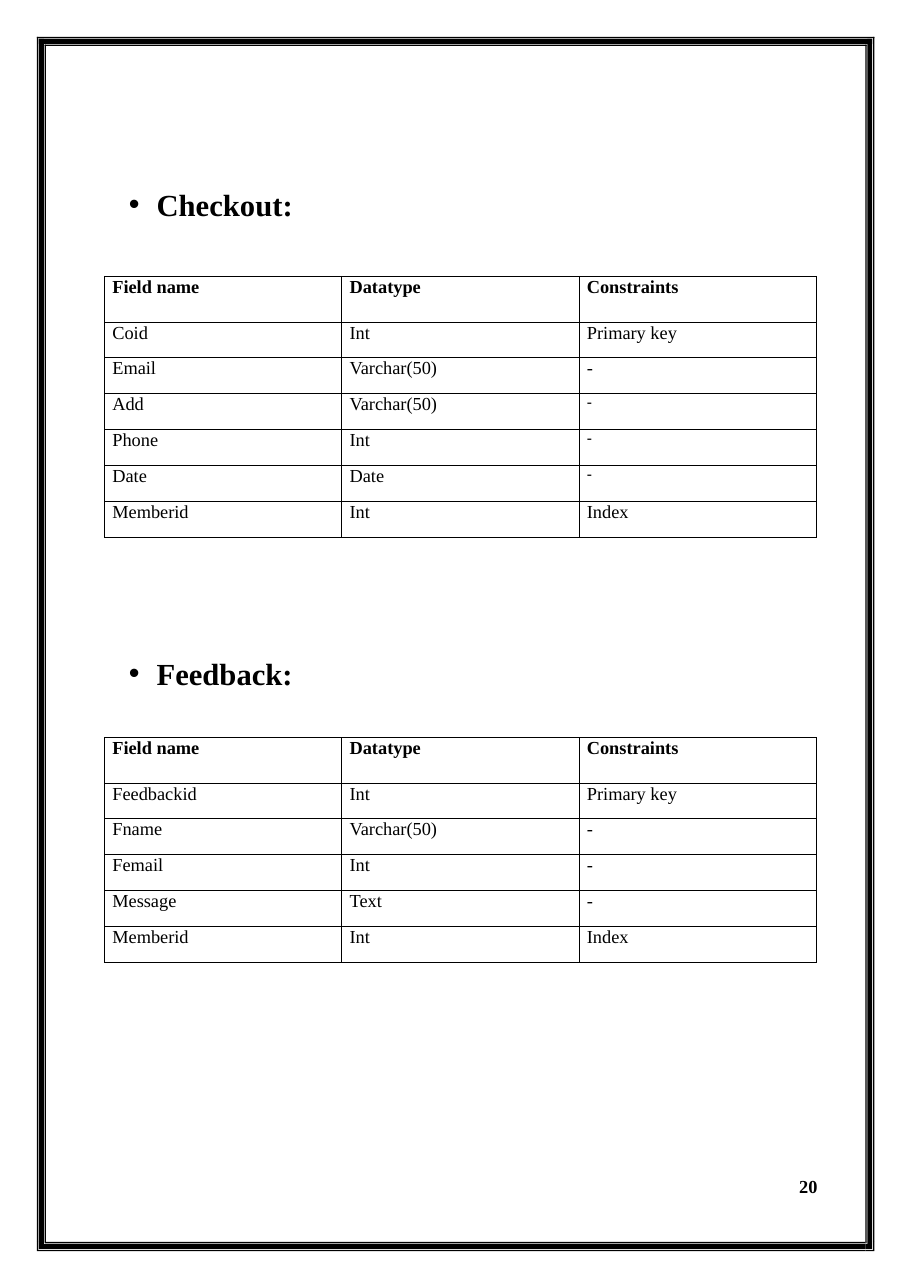
from dataclasses import dataclass

from lxml.etree import SubElement as Sub
from pptx import Presentation as Deck
from pptx.dml.color import RGBColor as Rgb
from pptx.enum.text import MSO_ANCHOR as Anchor, MSO_AUTO_SIZE as Fit, PP_ALIGN as Align
from pptx.oxml.ns import qn
from pptx.util import Cm, Pt

HUES = {"ink": "000000", "page": "FFFFFF"}
SERIF, SANS = "Times New Roman", "Calibri"
WIDE, HIGH = 20.98, 29.69
LEFT, TOP, RIGHT, BASE = 0.85, 0.85, 20.16, 28.84  # outer edges of the border
DEEP = 0.21  # whole depth of the border

Dot = tuple[float, float]


@dataclass
class Band:
    near: float  # distances from the outer edge
    far: float


@dataclass
class Part:
    name: str
    head_top: float
    grid_top: float
    rows: list[tuple[str, str, str]]
    small: tuple[int, ...] = ()  # rows whose last cell is in the sans font


BANDS = [Band(0, 0.03), Band(0.05, 0.16), Band(0.18, DEEP)]
HEADS = ("Field name", "Datatype", "Constraints")
PARTS = [
    Part("Checkout:", 4.26, 6.37, [
        ("Coid", "Int", "Primary key"),
        ("Email", "Varchar(50)", "-"),
        ("Add", "Varchar(50)", "-"),
        ("Phone", "Int", "-"),
        ("Date", "Date", "-"),
        ("Memberid", "Int", "Index"),
    ], (3, 4, 5)),
    Part("Feedback:", 15.06, 17, [
        ("Feedbackid", "Int", "Primary key"),
        ("Fname", "Varchar(50)", "-"),
        ("Femail", "Int", "-"),
        ("Message", "Text", "-"),
        ("Memberid", "Int", "Index"),
    ]),
]


def write(frame, text: str, *, size: float = 12, font: str = SERIF, bold: bool = False,
          align=Align.LEFT, line: float | None = None, space: float = 0):
    """Fill a text frame with one formatted paragraph."""
    para = frame.paragraphs[0]
    para.alignment = align
    para.space_before = Pt(space)
    if line:
        para.line_spacing = Pt(line)
    run = para.add_run()
    run.text = text
    run.font.size, run.font.name, run.font.bold = Pt(size), font, bold
    run.font.color.rgb = Rgb.from_string(HUES["ink"])
    return para


def trim(frame) -> None:
    """Give a text frame wrapping, no margins and a top anchor."""
    frame.word_wrap, frame.auto_size = True, Fit.NONE
    frame.vertical_anchor = Anchor.TOP
    frame.margin_left = frame.margin_right = frame.margin_top = frame.margin_bottom = 0


def block(x: float, y: float, far: float, low: float) -> list[Dot]:
    """Corners of a box."""
    return [(x, y), (far, y), (far, low), (x, low)]


def elbow(edge: float, turn: int, end: float, band: Band) -> list[Dot]:
    """Corners of an L that drops at an edge and runs along the base to an end."""
    out, side = edge + turn * band.near, edge + turn * band.far
    low, high = BASE - band.near, BASE - band.far
    return [(out, BASE - DEEP), (side, BASE - DEEP), (side, high),
            (end, high), (end, low), (out, low)]


def add_side(slide, lines: list[list[Dot]]) -> None:
    """Draw one side of the border from its closed outlines."""
    pen = None
    for line in lines:
        first, *rest = [(Cm(x), Cm(y)) for x, y in line]
        if pen is None:
            pen = slide.shapes.build_freeform(*first)
        else:
            pen.move_to(*first)
        pen.add_line_segments(rest, close=True)
    shape = pen.convert_to_shape()
    shape.shadow.inherit = False
    shape.fill.solid()
    shape.fill.fore_color.rgb = Rgb.from_string(HUES["ink"])
    shape.line.fill.background()


def add_frame(slide) -> None:
    """Draw the triple border: left, right, top, base and last corner."""
    end, low = RIGHT - DEEP, BASE - DEEP
    add_side(slide, [block(LEFT + b.near, TOP + b.near, LEFT + b.far, low) for b in BANDS])
    add_side(slide, [block(RIGHT - b.far, TOP + b.near, RIGHT - b.near, low) for b in BANDS])
    add_side(slide, [block(LEFT + b.near, TOP + b.near, RIGHT - b.near, TOP + b.far)
                     for b in BANDS])
    add_side(slide, [elbow(LEFT, 1, end, b) for b in BANDS])
    add_side(slide, [elbow(RIGHT, -1, end, b) for b in BANDS])


def add_head(holder, part: Part) -> None:
    """Turn a placeholder into a bulleted heading."""
    holder.left, holder.top = Cm(2.95), Cm(part.head_top)
    holder.width, holder.height = Cm(3.9), Cm(0.92)
    trim(holder.text_frame)
    holder.text_frame.margin_top = Cm(0.03)
    para = write(holder.text_frame, part.name, size=20, bold=True, space=1)
    props = para._p.get_or_add_pPr()
    props.set("marL", str(Cm(0.66)))
    props.set("indent", str(-Cm(0.64)))
    Sub(props, qn("a:buFont"), typeface="Arial")
    Sub(props, qn("a:buChar"), char="•")


def add_edge(cell) -> None:
    """Rule all four sides of a cell."""
    props = cell._tc.get_or_add_tcPr()
    for side in "LRTB":
        edge = Sub(props, qn(f"a:ln{side}"), w=str(Pt(0.5)))
        Sub(Sub(edge, qn("a:solidFill")), qn("a:srgbClr"), val=HUES["ink"])


def add_grid(slide, part: Part) -> None:
    """Draw the table of fields."""
    rows = [HEADS, *part.rows]
    highs = [1.06, 0.8] + [0.83] * (len(rows) - 2)
    table = slide.shapes.add_table(len(rows), len(HEADS), Cm(2.41), Cm(part.grid_top),
                                   Cm(16.41), Cm(sum(highs))).table
    table.first_row = table.horz_banding = False
    for col in table.columns:
        col.width = Cm(5.47)
    for r, (row, high) in enumerate(zip(rows, highs)):
        table.rows[r].height = Cm(high)
        for c, text in enumerate(row):
            cell = table.cell(r, c)
            cell.margin_left = Cm(0.18)
            cell.margin_right = cell.margin_top = cell.margin_bottom = 0
            add_edge(cell)
            cell.fill.background()
            if c == 2 and r in part.small:
                write(cell.text_frame, text, size=11, font=SANS, line=12.9)
            else:
                write(cell.text_frame, text, bold=r == 0, line=13.8)


def main() -> None:
    deck = Deck()
    deck.slide_width, deck.slide_height = Cm(WIDE), Cm(HIGH)
    slide = deck.slides.add_slide(deck.slide_layouts[1])
    slide.background.fill.solid()
    slide.background.fill.fore_color.rgb = Rgb.from_string(HUES["page"])

    # Page border
    add_frame(slide)

    # Headings and tables
    for holder, part in zip(list(slide.placeholders), PARTS):
        add_head(holder, part)
        add_grid(slide, part)

    # Page number
    box = slide.shapes.add_textbox(Cm(18.21), Cm(27.11), Cm(0.64), Cm(0.53))
    trim(box.text_frame)
    write(box.text_frame, "20", bold=True, align=Align.RIGHT, line=14.1)

    deck.save("out.pptx")


if __name__ == "__main__":
    main()
